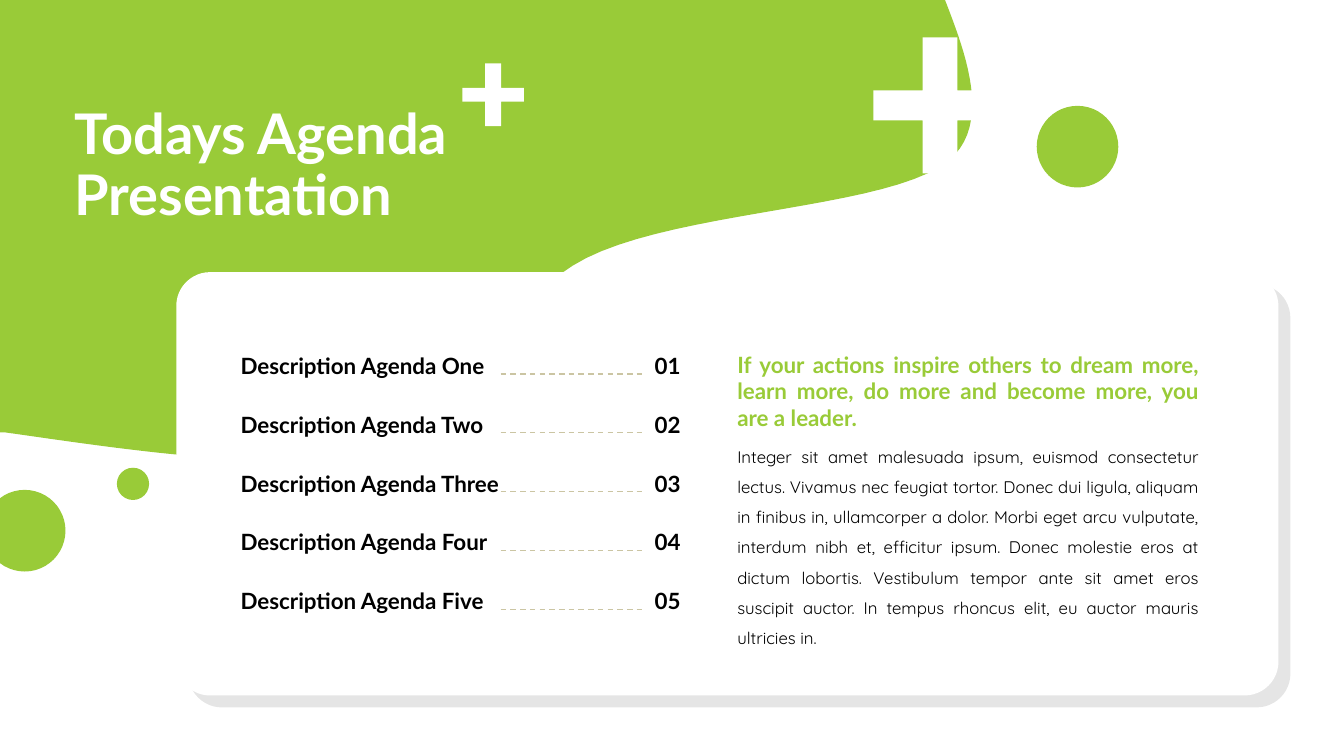
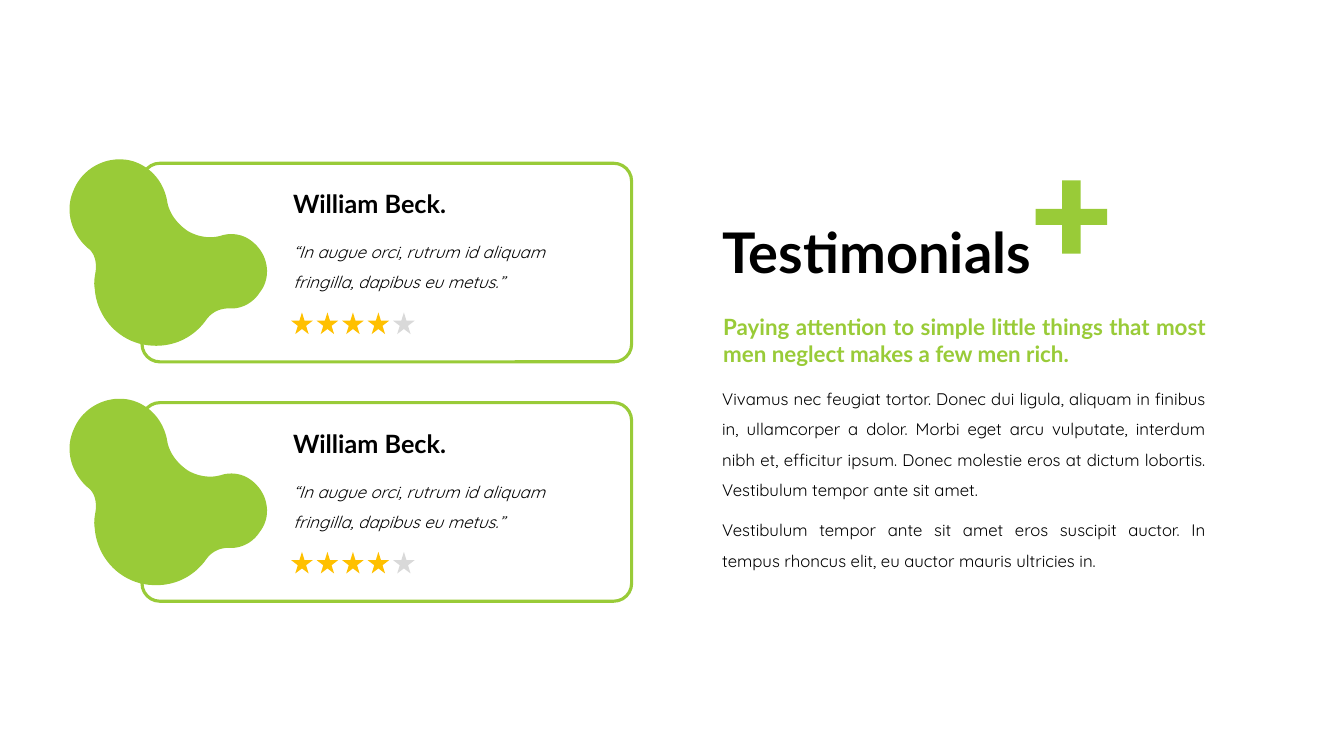
from lxml import etree
from pptx import Presentation
from pptx.dml.color import RGBColor
from pptx.enum.dml import MSO_LINE
from pptx.enum.shapes import MSO_CONNECTOR, MSO_SHAPE
from pptx.enum.text import MSO_ANCHOR, PP_ALIGN
from pptx.oxml import parse_xml
from pptx.oxml.ns import nsdecls, qn
from pptx.util import Inches, Pt

GREEN = RGBColor(0x99, 0xCB, 0x38)
WHITE = RGBColor(0xFF, 0xFF, 0xFF)
BLACK = RGBColor(0, 0, 0)
GOLD = RGBColor(0xFF, 0xC0, 0)
GRAY = RGBColor(0xD9, 0xD9, 0xD9)
SAND = RGBColor(0xCB, 0xC5, 0xA3)

HEAD = "Lato"
TEXT = "Quicksand"
COLS, ROWS = 133.4, 75
CELL = Inches(0.1)
STEPS = 20

WAVE = [
    (27.4, 45.7),
    ((18.3, 45.6), (7, 43.8), (0.5, 42.9)),
    ((0, 42.9),),
    ((0, 0),),
    ((93.8, 0),),
    ((94, 0.5),),
    ((95.8, 5.2), (98.5, 12.3), (94.2, 15.9)),
    ((88.5, 20.7), (67.8, 20.8), (58.2, 25.6)),
    ((48.7, 30.4), (47.1, 42), (36.9, 44.8)),
    ((34.3, 45.5), (31, 45.7), (27.4, 45.7)),
]

BLOB = [
    (22.7, 30.6),
    ((23.9, 30.7), (25.1, 30.1), (25.8, 29)),
    ((26.9, 27.6), (26.7, 25.5), (25.3, 24.2)),
    ((24.4, 23.3), (23.1, 23), (21.9, 23.4)),
    ((20.8, 23.7), (19.6, 23.5), (18.6, 22.9)),
    ((17.6, 22.2), (16.8, 21.2), (16.6, 20)),
    ((16.3, 18.2), (15.1, 16.6), (13.2, 16)),
    ((10.8, 15.3), (8.2, 16.6), (7.3, 18.9)),
    ((6.4, 20.9), (7.1, 23.2), (8.7, 24.6)),
    ((9.4, 25.1), (9.6, 26), (9.5, 26.9)),
    ((9.4, 27.5), (9.3, 28), (9.4, 28.6)),
    ((9.6, 31.7), (12.1, 34.2), (15.2, 34.3)),
    ((17.4, 34.4), (19.3, 33.4), (20.5, 31.7)),
    ((21, 31), (21.8, 30.6), (22.7, 30.6)),
]


def grid(*cells):
    return [round(cell * CELL) for cell in cells]


def bend(start, one, two, end):
    for step in range(1, STEPS + 1):
        t = step / STEPS
        u = 1 - t
        yield tuple(
            u**3 * a + 3 * u * u * t * b + 3 * u * t * t * c + t**3 * d
            for a, b, c, d in zip(start, one, two, end)
        )


class Deck:
    def __init__(self):
        self.show = Presentation()
        self.show.slide_width, self.show.slide_height = grid(COLS, ROWS)

    def page(self):
        self.slide = self.show.slides.add_slide(self.show.slide_layouts[6])
        self.items = self.slide.shapes

    def paint(self, shape, fill, edge=None):
        shape.shadow.inherit = False
        shape.fill.solid()
        shape.fill.fore_color.rgb = fill
        if edge is None:
            shape.line.fill.background()
        else:
            shape.line.color.rgb = edge
            shape.line.width = Pt(2.25)
        return shape

    def shape(self, kind, box, fill, edge=None, home=None):
        items = self.items if home is None else home.shapes
        return self.paint(items.add_shape(kind, *grid(*box)), fill, edge)

    def dot(self, x, y, size):
        self.shape(MSO_SHAPE.OVAL, (x, y, size, size), GREEN)

    def panel(self, box, turn, edge=None):
        panel = self.shape(MSO_SHAPE.ROUNDED_RECTANGLE, box, WHITE, edge)
        panel.adjustments[0] = turn
        return panel

    def shade(self, shape):
        cast = parse_xml(
            f'<a:outerShdw {nsdecls("a")} blurRad="0" dist="{Pt(12.1)}" '
            'dir="2700000" algn="tl" rotWithShape="0"><a:srgbClr val="000000">'
            '<a:alpha val="10000"/></a:srgbClr></a:outerShdw>'
        )
        shape._element.spPr.find(qn("a:effectLst")).append(cast)

    def outline(self, spots, fill):
        spots = [grid(*spot) for spot in spots]
        form = self.items.build_freeform(*spots[0])
        form.add_line_segments(spots[1:], close=True)
        self.paint(form.convert_to_shape(), fill)

    def curve(self, trace, fill, drop=0):
        spots = [trace[0]]
        for part in trace[1:]:
            spots += bend(spots[-1], *part) if len(part) == 3 else part
        self.outline([(x, y + drop) for x, y in spots], fill)

    def plus(self, x, y, wide, high, fill):
        left, right = x + wide * 0.37, x + wide * 0.63
        top, low = y + high * 0.39, y + high * 0.61
        end, base = x + wide, y + high
        self.outline([
            (left, y), (right, y), (right, top), (end, top),
            (end, low), (right, low), (right, base), (left, base),
            (left, low), (x, low), (x, top), (left, top),
        ], fill)

    def rule(self, x, y, end):
        line = self.items.add_connector(MSO_CONNECTOR.STRAIGHT, *grid(x, y, end, y))
        line.line.color.rgb = SAND
        line.line.width = Pt(1)
        line.line.dash_style = MSO_LINE.DASH
        etree.SubElement(line._element.spPr, qn("a:effectLst"))

    def text(self, box, words, size, face=HEAD, ink=BLACK, bold=True,
             slant=False, lead=1, align=PP_ALIGN.LEFT, hold=MSO_ANCHOR.MIDDLE):
        frame = self.items.add_textbox(*grid(*box)).text_frame
        frame.word_wrap = True
        frame.vertical_anchor = hold
        para = frame.paragraphs[0]
        para.text = words
        para.alignment = align
        para.line_spacing = lead
        font = para.font
        font.name, font.size, font.color.rgb = face, Pt(size), ink
        font.bold, font.italic = bold, slant

    def title(self, x, y, words, ink):
        self.text((x, y, 50.9, 14.5), words, 40, ink=ink, lead=0.9)

    def claim(self, box, words):
        self.text(box, words, 16, ink=GREEN, align=PP_ALIGN.JUSTIFY,
                  hold=MSO_ANCHOR.TOP)

    def body(self, box, words):
        self.text(box, words, 12, TEXT, bold=False, lead=1.5,
                  align=PP_ALIGN.JUSTIFY, hold=MSO_ANCHOR.TOP)

    def topic(self, y, words, mark):
        self.text((22.9, y, 28.5, 3.7), words, 16)
        self.text((64, y, 5, 3.7), mark, 16)
        self.rule(49.7, y + 2.7, 63.8)

    def stars(self, x, y, score):
        group = self.items.add_group_shape()
        for spot in range(5):
            self.shape(MSO_SHAPE.STAR_5_POINT, (x + spot * 2.53, y, 2.15, 2.15),
                       GOLD if spot < score else GRAY, home=group)

    def review(self, drop, name, quote, score):
        self.panel((14.1, 16.2 + drop, 48.6, 19.7), 0.09, GREEN)
        self.curve(BLOB, GREEN, drop)
        self.text((28.1, 22.5 + drop, 33.2, 7), quote, 12, TEXT, bold=False,
                  slant=True, lead=1.5)
        self.text((28.1, 18.2 + drop, 26.2, 4), name, 18)
        self.stars(28.9, 31 + drop, score)


def agenda(deck):
    deck.page()
    deck.curve(WAVE, GREEN)
    deck.plus(86.7, 3.7, 13.2, 13.5, WHITE)
    deck.plus(45.9, 6.3, 6.1, 6.2, WHITE)
    deck.shade(deck.panel((17.5, 27, 109.4, 42), 0.08))
    for row, word in enumerate(("One", "Two", "Three", "Four", "Five")):
        deck.topic(34.4 + row * 5.84, f"Description Agenda {word}", f"{row + 1:02}")
    deck.body((72.2, 42.8, 47.8, 22),
              "Integer sit amet malesuada ipsum, euismod consectetur lectus. "
              "Vivamus nec feugiat tortor. Donec dui ligula, aliquam in finibus "
              "in, ullamcorper a dolor. Morbi eget arcu vulputate, interdum nibh "
              "et, efficitur ipsum. Donec molestie eros at dictum lobortis. "
              "Vestibulum tempor ante sit amet eros suscipit auctor. In tempus "
              "rhoncus elit, eu auctor mauris ultricies in.")
    deck.claim((72.2, 34.3, 47.8, 9),
               "If your actions inspire others to dream more, learn more, do "
               "more and become more, you are a leader.")
    for spot in ((102.9, 10.5, 8.1), (11.6, 46.4, 3.2), (-1.6, 48.6, 8.1)):
        deck.dot(*spot)
    deck.title(6.4, 9.3, "Todays Agenda Presentation", WHITE)


def praise(deck):
    deck.page()
    deck.plus(102.8, 17.9, 7.1, 7.25, GREEN)
    deck.body((70.7, 37.1, 50, 13),
              "Vivamus nec feugiat tortor. Donec dui ligula, aliquam in finibus "
              "in, ullamcorper a dolor. Morbi eget arcu vulputate, interdum nibh "
              "et, efficitur ipsum. Donec molestie eros at dictum lobortis. "
              "Vestibulum tempor ante sit amet.")
    deck.claim((70.8, 30.6, 49.9, 6.4),
               "Paying attention to simple little things that most men neglect "
               "makes a few men rich.")
    deck.body((70.7, 50.1, 50, 7),
              "Vestibulum tempor ante sit amet eros suscipit auctor. In tempus "
              "rhoncus elit, eu auctor mauris ultricies in.")
    for drop in (0, 23.75):
        deck.review(drop, "William Beck.",
                    "“In augue orci, rutrum id aliquam fringilla, dapibus eu "
                    "metus.”", 4)
    deck.title(70.7, 18.1, "Testimonials", BLACK)


def main():
    deck = Deck()
    agenda(deck)
    praise(deck)
    deck.show.save("out.pptx")


if __name__ == "__main__":
    main()
